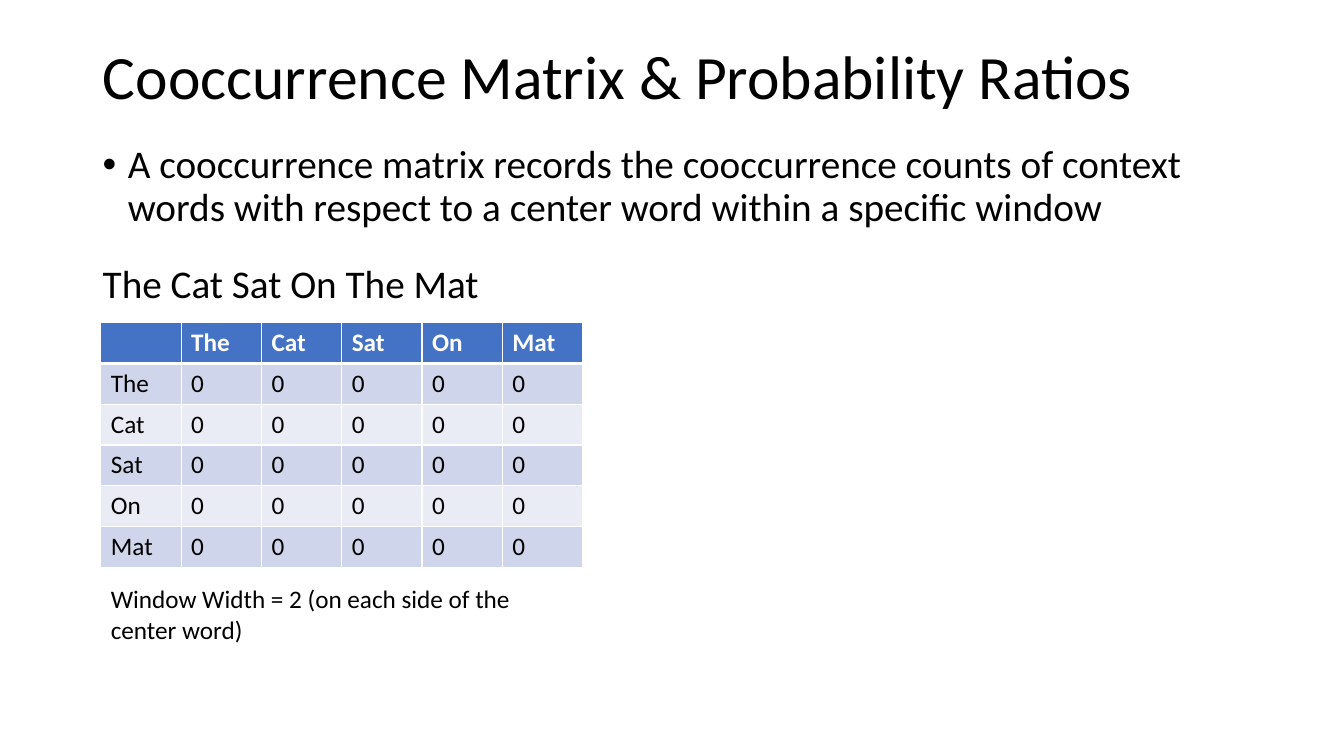
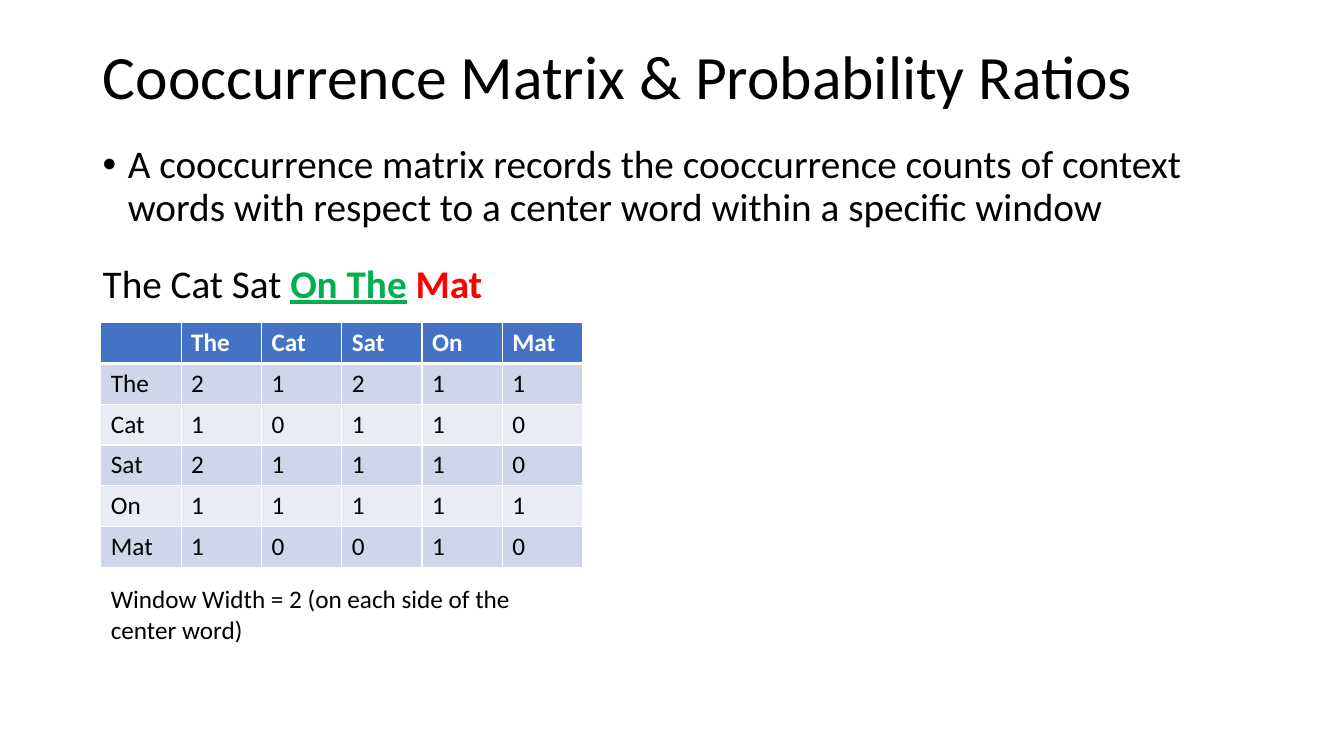
from pptx import Presentation
from pptx.dml.color import RGBColor
from pptx.enum.text import MSO_ANCHOR, MSO_AUTO_SIZE, PP_ALIGN
from pptx.oxml import parse_xml
from pptx.oxml.ns import nsdecls
from pptx.util import Inches, Pt

# Shared style
FONT = "Calibri"
BLACK, WHITE, GREEN, RED = "000000", "FFFFFF", "00B050", "FF0000"
HEAD, BANDS = "4472C4", ("CFD5EA", "E9EBF5")
LEFT, INNER, WIDE, HALF = Inches(0.92), Inches(1), Inches(11.5), Inches(4.78)

# Shared wording
TITLE = "Cooccurrence Matrix & Probability Ratios"
POINT = ("A cooccurrence matrix records the cooccurrence counts of context "
         "words with respect to a center word within a specific window")
NOTE = "Window Width = 2 (on each side of the center word)"
WORDS = ["The", "Cat", "Sat", "On", "Mat"]

# Each slide: sentence runs as (words, colour, bold, underline), then counts
SLIDES = [
    ([("The Cat Sat On The Mat", BLACK, False, False)],
     ["00000"] * 5),
    ([("The Cat Sat ", BLACK, False, False), ("On The", GREEN, True, True),
      (" ", BLACK, True, False), ("Mat", RED, True, False)],
     ["21211", "10110", "21110", "11111", "10010"]),
]


def rgb(code):
    return RGBColor.from_string(code)


def text(frame, words, size=18, color=BLACK, bold=False, under=False,
         line=None, before=None):
    """Add one run to the first paragraph of a text frame."""
    para = frame.paragraphs[0]
    para.alignment = PP_ALIGN.LEFT
    if line:
        para.line_spacing = line
    if before:
        para.space_before = Pt(before)
    run = para.add_run()
    run.text = words
    font = run.font
    font.name, font.size, font.bold = FONT, Pt(size), bold
    font.underline = under
    font.color.rgb = rgb(color)
    return para


deck = Presentation()
deck.slide_width, deck.slide_height = Inches(13.33), Inches(7.5)

for sentence, counts in SLIDES:
    slide = deck.slides.add_slide(deck.slide_layouts[5])

    # Title
    title = slide.shapes.title
    title.left, title.top = LEFT, Inches(0.4)
    title.width, title.height = WIDE, Inches(0.78)
    title.text_frame.auto_size = MSO_AUTO_SIZE.NONE
    title.text_frame.vertical_anchor = MSO_ANCHOR.MIDDLE
    text(title.text_frame, TITLE, size=44, line=0.9)

    # Text boxes
    frames = []
    for left, top, width, height in [(LEFT, 1.39, WIDE, 5.23),
                                     (LEFT, 2.52, HALF, 0.57),
                                     (INNER, 5.74, HALF, 0.71)]:
        box = slide.shapes.add_textbox(left, Inches(top), width, Inches(height))
        box.text_frame.word_wrap = True
        frames.append(box.text_frame)
    body, sample, note = frames

    # Bulleted definition
    props = text(body, POINT, size=28, line=0.9, before=10)._p.get_or_add_pPr()
    props.set("marL", str(Inches(0.25)))
    props.set("indent", str(Inches(-0.25)))
    for tag in ('buFont typeface="Arial"', 'buChar char="&#8226;"'):
        props.append(parse_xml(f'<a:{tag} {nsdecls("a")}/>'))

    # Sample sentence and window note
    for words, color, bold, under in sentence:
        text(sample, words, size=28, color=color, bold=bold, under=under)
    text(note, NOTE)

    # Count matrix
    rows = [["", *WORDS]] + [[w, *row] for w, row in zip(WORDS, counts)]
    grid = slide.shapes.add_table(len(rows), len(rows[0]), INNER, Inches(3.2),
                                  HALF, Inches(2.43)).table
    for r, row in enumerate(rows):
        for c, words in enumerate(row):
            cell = grid.cell(r, c)
            props = cell._tc.get_or_add_tcPr()
            for side in "LRTB":
                thick = (r, side) in ((0, "B"), (1, "T"))
                props.append(parse_xml(
                    f'<a:ln{side} {nsdecls("a")} w="{Pt(3 if thick else 1)}">'
                    f'<a:solidFill><a:srgbClr val="{WHITE}"/></a:solidFill>'
                    f'</a:ln{side}>'))
            cell.fill.solid()
            cell.fill.fore_color.rgb = rgb(BANDS[(r - 1) % 2] if r else HEAD)
            if words:
                text(cell.text_frame, words, bold=r == 0,
                     color=BLACK if r else WHITE)

deck.save("out.pptx")
